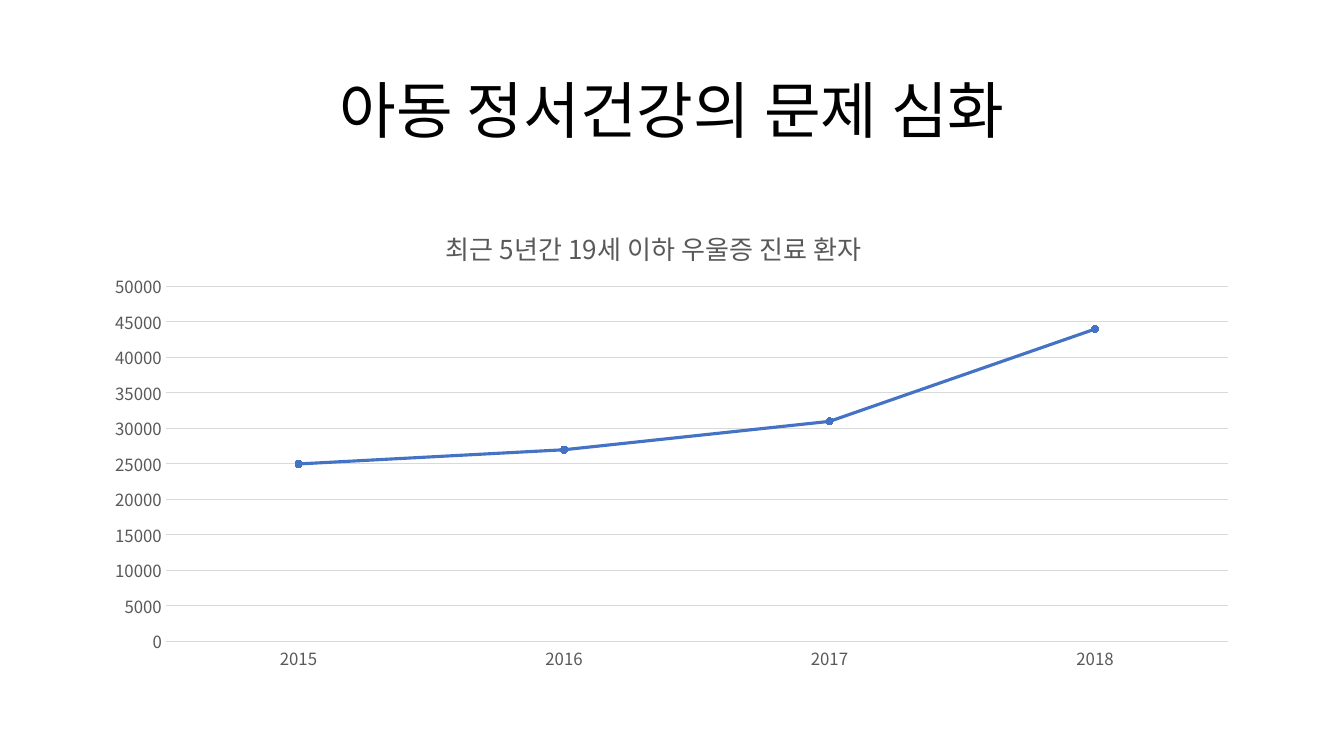
from dataclasses import dataclass

from lxml.etree import SubElement
from pptx import Presentation
from pptx.chart.data import CategoryChartData as ChartData
from pptx.dml.color import RGBColor as RGB
from pptx.enum.chart import XL_CHART_TYPE as Kind
from pptx.enum.chart import XL_MARKER_STYLE as Marker
from pptx.enum.chart import XL_TICK_MARK as Tick
from pptx.enum.text import MSO_ANCHOR as Anchor
from pptx.enum.text import PP_ALIGN as Align
from pptx.oxml import parse_xml
from pptx.oxml.ns import nsdecls, qn
from pptx.util import Inches, Pt


@dataclass(frozen=True)
class Theme:
    face: str = "Noto Sans CJK KR"
    ink: RGB = RGB(0, 0, 0)
    muted: RGB = RGB(0x59, 0x59, 0x59)
    rule: RGB = RGB(0xD9, 0xD9, 0xD9)
    lines: tuple = (RGB(0x44, 0x72, 0xC4), RGB(0xED, 0x7D, 0x31),
                    RGB(0xA5, 0xA5, 0xA5))
    title: float = 44
    head: float = 18.6
    label: float = 12
    base: float = 10


THEME = Theme()
YEARS = ("2015", "2016", "2017", "2018")
CASES = (25000, 27000, 31000, 44000)


def style(font, size, color):
    """Set size, colour and both the Latin and East Asian typeface."""
    font.size = Pt(size)
    font.bold = False
    font.color.rgb = color
    font.name = THEME.face
    SubElement(font._rPr, qn("a:ea")).set("typeface", THEME.face)


def rule(line, color, width):
    line.color.rgb = color
    line.width = Pt(width)


def pin(node, index, inner=False, **spots):
    """Give a chart part a manual layout in fractions of the chart."""
    for old in node.findall(qn("c:layout")):
        node.remove(old)
    target = '<c:layoutTarget val="inner"/>' if inner else ""
    modes = "".join(f'<c:{k}Mode val="edge"/>' for k in "xy")
    sizes = "".join(f'<c:{k} val="{v}"/>' for k, v in spots.items())
    node.insert(index, parse_xml(
        f'<c:layout {nsdecls("c")}><c:manualLayout>{target}{modes}{sizes}'
        '</c:manualLayout></c:layout>'))


def add_title(slide, box, text):
    title = slide.shapes.title
    title.left, title.top, title.width, title.height = map(Inches, box)
    frame = title.text_frame
    frame.text = text
    frame.word_wrap = True
    frame.vertical_anchor = Anchor.MIDDLE
    para = frame.paragraphs[0]
    para.alignment = Align.CENTER
    para.line_spacing = 0.9
    style(para.font, THEME.title, THEME.ink)


def add_trend(slide, box, text):
    data = ChartData()
    data.categories = YEARS
    blank = (None,) * len(YEARS)
    for num, vals in enumerate((CASES, blank, blank), 1):
        data.add_series(f"Series {num}", vals)
    chart = slide.shapes.add_chart(
        Kind.LINE_MARKERS_STACKED, *map(Inches, box), data).chart
    style(chart.font, THEME.base, THEME.ink)
    chart.has_legend = False

    head = chart.chart_title
    head.text_frame.text = text
    style(head.text_frame.paragraphs[0].font, THEME.head, THEME.muted)
    pin(head._element, 1, x=0.3, y=0.04)
    pin(chart._chartSpace.chart.plotArea, 0, True,
        x=0.063, y=0.177, w=0.916, h=0.74)

    for axis in (chart.category_axis, chart.value_axis):
        axis.major_tick_mark = axis.minor_tick_mark = Tick.NONE
        style(axis.tick_labels.font, THEME.label, THEME.muted)
    rule(chart.category_axis.format.line, THEME.rule, 0.75)
    scale = chart.value_axis
    scale.minimum_scale, scale.maximum_scale = 0, 50000
    scale.major_unit = 5000
    scale.format.line.fill.background()
    rule(scale.major_gridlines.format.line, THEME.rule, 0.75)

    plot = chart.plots[0]
    plot.vary_by_categories = False
    for series, color in zip(plot.series, THEME.lines):
        series.smooth = False
        rule(series.format.line, color, 2.25)
        mark = series.marker
        mark.style, mark.size = Marker.CIRCLE, 5
        mark.format.fill.solid()
        mark.format.fill.fore_color.rgb = color
        rule(mark.format.line, color, 0.75)


def main():
    deck = Presentation()
    deck.slide_width, deck.slide_height = Inches(13.33), Inches(7.5)
    slide = deck.slides.add_slide(deck.slide_layouts[5])
    add_title(slide, (0.92, 0.4, 11.5, 1.45), "아동 정서건강의 문제 심화")
    add_trend(slide, (0.92, 2, 11.5, 4.76),
              "최근 5년간 19세 이하 우울증 진료 환자")
    deck.save("out.pptx")


if __name__ == "__main__":
    main()
